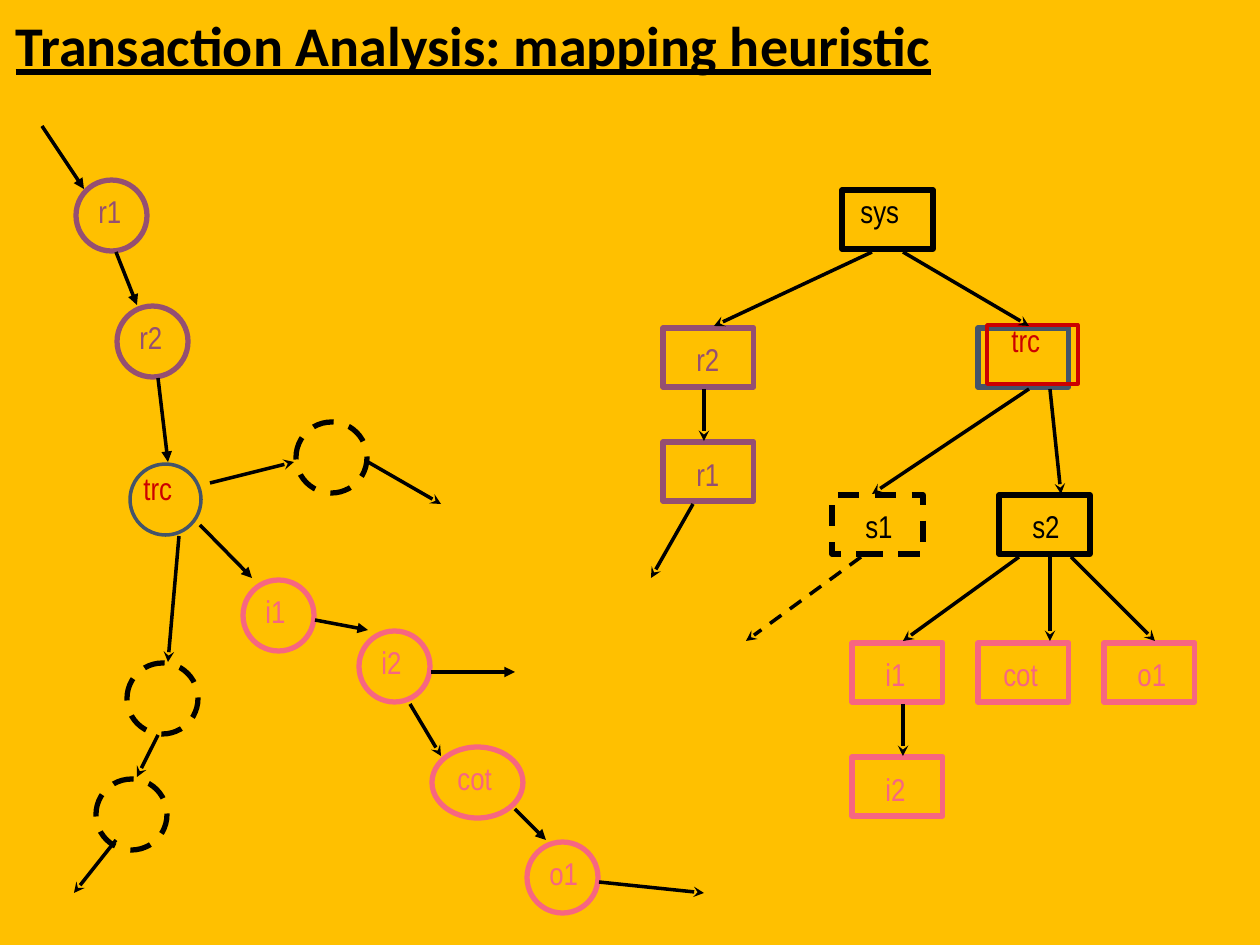
from dataclasses import dataclass
from typing import Optional

import pptx
import pptx.dml.color
import pptx.enum.dml
import pptx.enum.shapes
import pptx.enum.text
import pptx.oxml.ns
import pptx.util
from lxml import etree

RGB = pptx.dml.color.RGBColor
AMBER = RGB(0xFF, 0xC0, 0x00)
BLACK = RGB(0x00, 0x00, 0x00)
PURPLE = RGB(0x95, 0x4F, 0x72)
PINK = RGB(0xF7, 0x66, 0x81)
SLATE = RGB(0x44, 0x54, 0x6A)
RED = RGB(0xCC, 0x00, 0x00)

CIRCLE = pptx.enum.shapes.MSO_SHAPE.OVAL
BOX = pptx.enum.shapes.MSO_SHAPE.RECTANGLE
DASH = pptx.enum.dml.MSO_LINE.DASH
SIZES = {CIRCLE: (71, 71), BOX: (91, 59)}
LABEL_DX = {CIRCLE: 10, BOX: 21}
LABEL_WIDTHS = {"r1": 48, "r2": 48, "sys": 139, "trc": 54, "s1": 53, "s2": 53,
                "i1": 45, "i2": 45, "cot": 60, "o1": 54}


@dataclass
class Node:
    kind: int
    x: int
    y: int
    color: RGB
    label: str = ""
    width: Optional[int] = None
    dx: Optional[int] = None
    dy: int = 6
    label_color: Optional[RGB] = None
    weight: int = 3
    dashed: bool = False


@dataclass
class Arrow:
    x1: int
    y1: int
    x2: int
    y2: int
    head: str = "stealth"
    dashed: bool = False


# Data flow diagram on the left
FLOW_NODES = [
    Node(CIRCLE, 76, 180, PURPLE, "r1"),
    Node(CIRCLE, 117, 306, PURPLE, "r2"),
    Node(CIRCLE, 130, 464, SLATE, "trc", dx=1, dy=-1, label_color=RED, weight=2),
    Node(CIRCLE, 243, 580, PINK, "i1"),
    Node(CIRCLE, 359, 631, PINK, "i2"),
    Node(CIRCLE, 432, 747, PINK, "cot", width=91, dx=13),
    Node(CIRCLE, 527, 842, PINK, "o1"),
    Node(CIRCLE, 127, 663, BLACK, dashed=True),
    Node(CIRCLE, 96, 779, BLACK, dashed=True),
    Node(CIRCLE, 296, 422, BLACK, dashed=True),
]
FLOW_ARROWS = [
    Arrow(42, 126, 84, 189, "triangle"),
    Arrow(116, 252, 137, 305, "triangle"),
    Arrow(158, 378, 168, 462, "triangle"),
    Arrow(200, 525, 252, 578, "triangle"),
    Arrow(315, 620, 368, 630, "triangle"),
    Arrow(431, 672, 515, 672, "triangle"),
    Arrow(515, 809, 546, 840, "triangle"),
    Arrow(410, 704, 441, 756),
    Arrow(599, 882, 704, 893),
    Arrow(179, 536, 168, 662),
    Arrow(158, 735, 137, 777),
    Arrow(116, 840, 74, 893),
    Arrow(210, 483, 294, 462),
    Arrow(368, 462, 441, 504),
]

# Structure chart on the right
TREE_NODES = [
    Node(BOX, 842, 190, BLACK, "sys", dx=6, dy=-4),
    Node(BOX, 663, 328, PURPLE, "r2"),
    Node(BOX, 663, 442, PURPLE, "r1", dy=7),
    Node(BOX, 978, 328, SLATE, "trc", dy=-13, label_color=RED),
    Node(BOX, 832, 495, BLACK, "s1", dashed=True),
    Node(BOX, 999, 495, BLACK, "s2"),
    Node(BOX, 852, 643, PINK, "i1"),
    Node(BOX, 978, 643, PINK, "cot", dx=13),
    Node(BOX, 1104, 643, PINK, "o1"),
    Node(BOX, 852, 757, PINK, "i2", dy=7),
    Node(BOX, 987, 325, RED, weight=2),
]
TREE_ARROWS = [
    Arrow(872, 252, 714, 326),
    Arrow(903, 252, 1029, 326),
    Arrow(704, 389, 704, 441),
    Arrow(693, 504, 651, 578),
    Arrow(1029, 389, 872, 494),
    Arrow(1050, 389, 1061, 494),
    Arrow(861, 557, 746, 641, dashed=True),
    Arrow(1019, 557, 903, 641),
    Arrow(1050, 557, 1050, 641),
    Arrow(1071, 557, 1155, 641),
    Arrow(903, 704, 903, 756),
]


def px(n: int) -> int:
    return round(n * 914400 / 126)


def write_text(tf, text: str, *, font: str, size: int, color: RGB, wrap: bool = False,
               bold: bool = False, underline: bool = False) -> None:
    tf.word_wrap = wrap
    tf.vertical_anchor = pptx.enum.text.MSO_ANCHOR.TOP
    tf.auto_size = pptx.enum.text.MSO_AUTO_SIZE.SHAPE_TO_FIT_TEXT
    p = tf.paragraphs[0]
    p.alignment = pptx.enum.text.PP_ALIGN.LEFT
    r = p.add_run()
    r.text = text
    r.font.name, r.font.size = font, pptx.util.Pt(size)
    r.font.bold, r.font.underline = bold, underline
    r.font.color.rgb = color


def set_line(line, color: RGB, weight: int, dashed: bool) -> None:
    line.color.rgb = color
    line.width = pptx.util.Pt(weight)
    if dashed:
        line.dash_style = DASH


def draw_node(s, node: Node) -> None:
    w, h = SIZES[node.kind]
    sp = s.shapes.add_shape(node.kind, px(node.x), px(node.y), px(node.width or w), px(h))
    sp.shadow.inherit = False
    sp.fill.background()
    set_line(sp.line, node.color, node.weight, node.dashed)
    if node.label:
        dx = LABEL_DX[node.kind] if node.dx is None else node.dx
        tb = s.shapes.add_textbox(px(node.x + dx), px(node.y + node.dy),
                                  px(LABEL_WIDTHS[node.label]), px(50))
        write_text(tb.text_frame, node.label, font="Arial Narrow", size=18,
                   color=node.label_color or node.color, wrap=node.label == "sys")


def draw_arrow(s, arrow: Arrow) -> None:
    cx = s.shapes.add_connector(pptx.enum.shapes.MSO_CONNECTOR.STRAIGHT, px(arrow.x1),
                                px(arrow.y1), px(arrow.x2), px(arrow.y2))
    set_line(cx.line, BLACK, 2, arrow.dashed)
    ln = cx.line._get_or_add_ln()
    etree.SubElement(ln, pptx.oxml.ns.qn("a:tailEnd"), type=arrow.head)
    etree.SubElement(cx._element.spPr, pptx.oxml.ns.qn("a:effectLst"))


def main() -> None:
    prs = pptx.Presentation()
    prs.slide_width, prs.slide_height = px(1260), px(945)
    s = prs.slides.add_slide(prs.slide_layouts[5])
    s.background.fill.solid()
    s.background.fill.fore_color.rgb = AMBER

    # Title
    title = s.shapes.title
    title.left, title.top, title.width, title.height = px(3), px(4), px(977), px(79)
    write_text(title.text_frame, "Transaction Analysis: mapping heuristic", font="Calibri",
               size=32, color=BLACK, wrap=True, bold=True, underline=True)

    # Diagrams
    for node in FLOW_NODES + TREE_NODES:
        draw_node(s, node)
    for arrow in FLOW_ARROWS + TREE_ARROWS:
        draw_arrow(s, arrow)

    prs.save("out.pptx")


if __name__ == "__main__":
    main()
